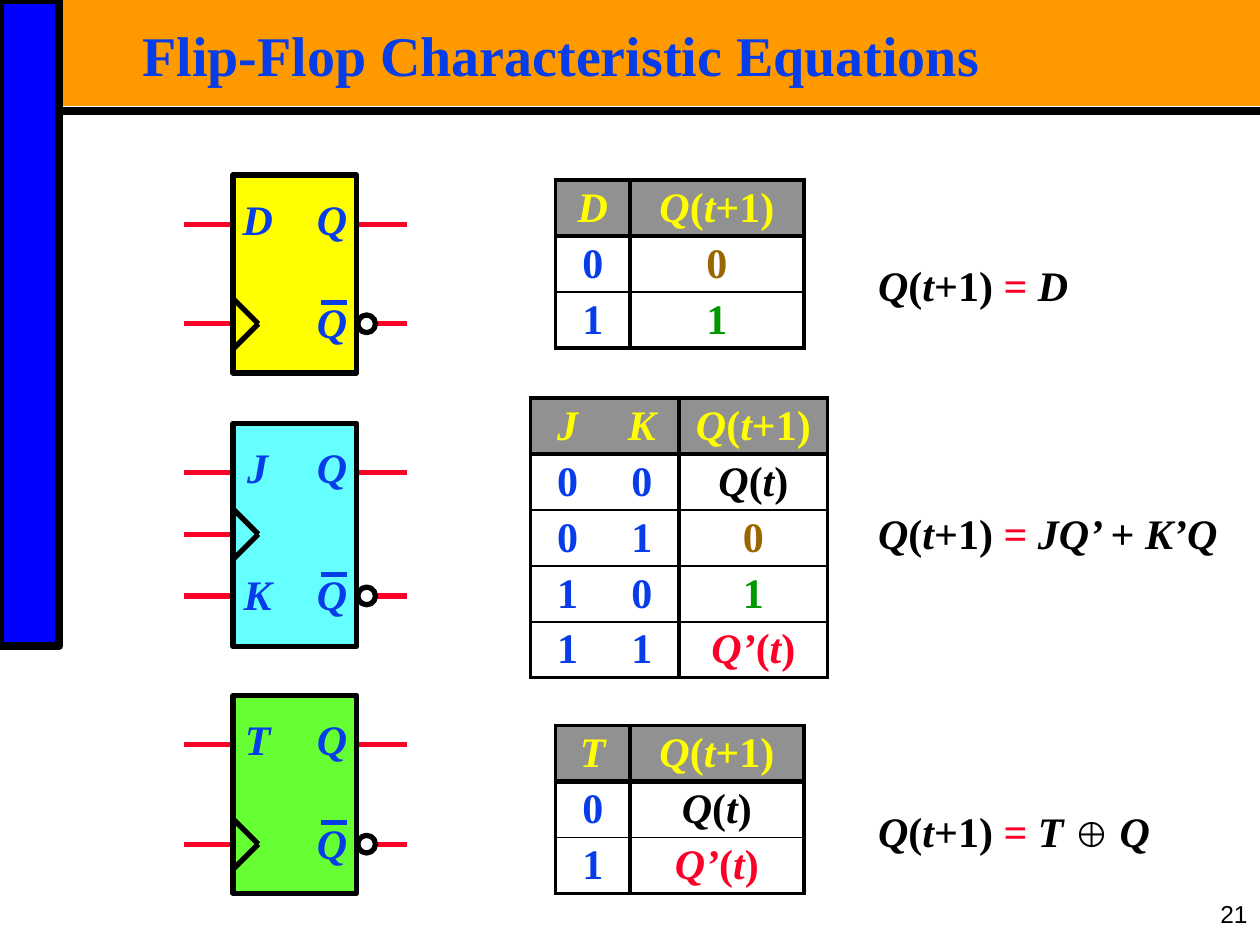
from lxml.etree import SubElement
from pptx import Presentation
from pptx.dml.color import RGBColor
from pptx.enum.shapes import MSO_CONNECTOR, MSO_SHAPE
from pptx.enum.text import MSO_ANCHOR, MSO_AUTO_SIZE, PP_ALIGN
from pptx.oxml import parse_xml
from pptx.oxml.ns import nsdecls, qn
from pptx.util import Inches, Pt

COLORS = {
    "black": "000000", "white": "FFFFFF", "orange": "FF9900", "bar": "0000FF",
    "blue": "063DE8", "red": "FC0128", "gray": "919191", "brown": "996600",
    "dark green": "009900", "yellow": "FFFF00", "cyan": "66FFFF", "green": "66FF33",
}
RGB = {name: RGBColor.from_string(value) for name, value in COLORS.items()}


def write(tf, text, color="black", size=24, font="Times New Roman", bold=True,
          align=PP_ALIGN.LEFT, spacing=1.0, margins=(0, 0)):
    """Append text to the first paragraph; parts between asterisks are italic."""
    tf.word_wrap = True
    tf.margin_left = tf.margin_right = Inches(margins[0])
    tf.margin_top = tf.margin_bottom = Inches(margins[1])
    p = tf.paragraphs[0]
    p.alignment, p.line_spacing = align, spacing
    for i, part in enumerate(text.split("*")):
        if part:
            r = p.add_run()
            r.text = part
            r.font.name, r.font.size = font, Pt(size)
            r.font.bold, r.font.italic = bold, i % 2 == 1
            r.font.color.rgb = RGB[color]


def add_line(shapes, x1, y1, x2, y2, color, width=3):
    c = shapes.add_connector(MSO_CONNECTOR.STRAIGHT,
                             Inches(x1), Inches(y1), Inches(x2), Inches(y2))
    c.line.color.rgb, c.line.width = RGB[color], Pt(width)
    SubElement(c.element.spPr, qn("a:effectLst"))


prs = Presentation()
prs.slide_width, prs.slide_height = Inches(10), Inches(7.5)
s = prs.slides.add_slide(prs.slide_layouts[5])

# Header band, side bar and rule
for x, y, w, h, color, border in [(0.47, 0, 9.53, 0.84, "orange", 0),
                                  (0, 0, 0.47, 5.13, "bar", 4.5)]:
    sp = s.shapes.add_shape(MSO_SHAPE.RECTANGLE, Inches(x), Inches(y), Inches(w), Inches(h))
    sp.shadow.inherit = False
    sp.fill.solid()
    sp.fill.fore_color.rgb = RGB[color]
    if border:
        sp.line.color.rgb, sp.line.width = RGB["black"], Pt(border)
    else:
        sp.line.fill.background()
add_line(s.shapes, 0.47, 0.88, 10, 0.88, "black", 4.5)

# Title, brought in front of the band
title = s.shapes.title
title.left, title.top, title.width, title.height = map(Inches, (1.06, 0.21, 8.66, 0.52))
title.text_frame.auto_size = MSO_AUTO_SIZE.NONE
title.text_frame.vertical_anchor = MSO_ANCHOR.MIDDLE
write(title.text_frame, "Flip-Flop Characteristic Equations", "blue", size=32,
      spacing=0.87, margins=(0.07, 0.03))
title.element.getparent().append(title.element)

# Flip-flop symbols: top, height, fill, clock offset, inverted output offset, inputs
LEFT, RIGHT, PIN, OUT = 1.85, 2.84, 0.39, 0.39
flip_flops = [
    (1.39, 1.57, "yellow", 1.18, 1.18, "D"),
    (3.36, 1.77, "cyan", 0.88, 1.37, "JK"),
    (5.52, 1.57, "green", 1.18, 1.18, "T"),
]
for top, height, color, clock, inverted, inputs in flip_flops:
    shapes = s.shapes.add_group_shape().shapes
    q_y, clock_y, inv_y = top + OUT, top + clock, top + inverted
    input_ys = [q_y, inv_y][:len(inputs)]

    body = (MSO_SHAPE.RECTANGLE, LEFT, top, 0.98, height, color)
    bubble = (MSO_SHAPE.OVAL, RIGHT, inv_y - 0.07, 0.14, 0.14, "white")
    for y in input_ys + [clock_y]:
        add_line(shapes, LEFT, y, LEFT - PIN, y, "red")
    for y in (q_y, inv_y):
        add_line(shapes, RIGHT + PIN, y, RIGHT, y, "red")
    for kind, x, y, w, h, fill in (body, bubble):
        sp = shapes.add_shape(kind, Inches(x), Inches(y), Inches(w), Inches(h))
        sp.shadow.inherit = False
        sp.fill.solid()
        sp.fill.fore_color.rgb = RGB[fill]
        sp.line.color.rgb, sp.line.width = RGB["black"], Pt(3)

    # Clock wedge and the bar over the inverted output
    for dy in (-0.2, 0.2):
        add_line(shapes, LEFT, clock_y + dy, LEFT + 0.2, clock_y, "black")
    add_line(shapes, 2.75, inv_y - 0.17, 2.55, inv_y - 0.17, "blue")

    labels = [(LEFT, y, name) for y, name in zip(input_ys, inputs)]
    labels += [(2.44, q_y, "Q"), (2.44, inv_y, "Q")]
    for x, y, name in labels:
        label_top = y - (0.2 if y == q_y else 0.17)
        tb = shapes.add_textbox(Inches(x), Inches(label_top), Inches(0.39), Inches(0.36))
        write(tb.text_frame, f"*{name}*", "blue", align=PP_ALIGN.CENTER, spacing=0.9)

# Characteristic tables: left, top, column widths, rows
NEXT, HOLD, TOGGLE = "*Q*(*t*+1)", "*Q*(*t*)", "*Q’*(*t*)"
RESULT_COLORS = {"0": "brown", "1": "dark green", HOLD: "black", TOGGLE: "red"}
tables = [
    (4.41, 1.43, [0.59, 1.38], [["*D*", NEXT], ["0", "0"], ["1", "1"]]),
    (4.21, 3.16, [0.59, 0.59, 1.18],
     [["*J*", "*K*", NEXT], ["0", "0", HOLD], ["0", "1", "0"],
      ["1", "0", "1"], ["1", "1", TOGGLE]]),
    (4.41, 5.76, [0.59, 1.38], [["*T*", NEXT], ["0", HOLD], ["1", TOGGLE]]),
]
ROW = 0.444
for x, y, widths, rows in tables:
    last_row, last_col = len(rows) - 1, len(widths) - 1
    table = s.shapes.add_table(len(rows), len(widths), Inches(x), Inches(y),
                               Inches(sum(widths)), Inches(ROW * len(rows))).table
    table.first_row = table.horz_banding = False
    for column, width in zip(table.columns, widths):
        column.width = Inches(width)
    for i, row in enumerate(rows):
        table.rows[i].height = Inches(ROW)
        for j, text in enumerate(row):
            cell = table.cell(i, j)
            cell.margin_left = cell.margin_right = cell.margin_top = cell.margin_bottom = 0
            cell.vertical_anchor = MSO_ANCHOR.MIDDLE
            cell.fill.solid()
            cell.fill.fore_color.rgb = RGB["white" if i else "gray"]
            color = "yellow" if i == 0 else RESULT_COLORS[text] if j == last_col else "blue"
            write(cell.text_frame, text, color, align=PP_ALIGN.CENTER)

            # Heavy frame, header rule and result column; no rule between inputs
            borders = {
                "lnL": 2.25 if j == 0 else 3 if j == last_col else 0,
                "lnR": 2.25 if j == last_col else 3 if j == last_col - 1 else 0,
                "lnT": 2.25 if i == 0 else 3 if i == 1 else 1,
                "lnB": 3 if i == 0 else 2.25 if i == last_row else 1,
            }
            for k, (tag, width) in enumerate(borders.items()):
                paint = (f'<a:solidFill><a:srgbClr val="{COLORS["black"]}"/></a:solidFill>'
                         if width else "<a:noFill/>")
                ln = parse_xml(f'<a:{tag} {nsdecls("a")} w="{Pt(width)}">{paint}</a:{tag}>')
                cell._tc.get_or_add_tcPr().insert(k, ln)

# Characteristic equations: top, width, right-hand side with sizes
equations = [
    (1.98, 1.77, [("*D*", 24)]),
    (3.95, 2.76, [("*JQ’ *+* K’Q*", 24)]),
    (6.31, 2.56, [("*T *", 24), ("⊕", 20), (" *Q*", 24)]),
]
for top, width, terms in equations:
    tf = s.shapes.add_textbox(Inches(6.97), Inches(top), Inches(width), Inches(0.48)).text_frame
    write(tf, NEXT + " ", spacing=1.2)
    write(tf, "= ", "red", spacing=1.2)
    for text, size in terms:
        write(tf, text, size=size, spacing=1.2)

# Slide number
tf = s.shapes.add_textbox(Inches(8.69), Inches(7.1), Inches(1.31), Inches(0.32)).text_frame
tf.vertical_anchor = MSO_ANCHOR.BOTTOM
write(tf, "21", size=14, font="Arial", bold=False, align=PP_ALIGN.RIGHT, margins=(0.1, 0.05))

prs.save("out.pptx")
